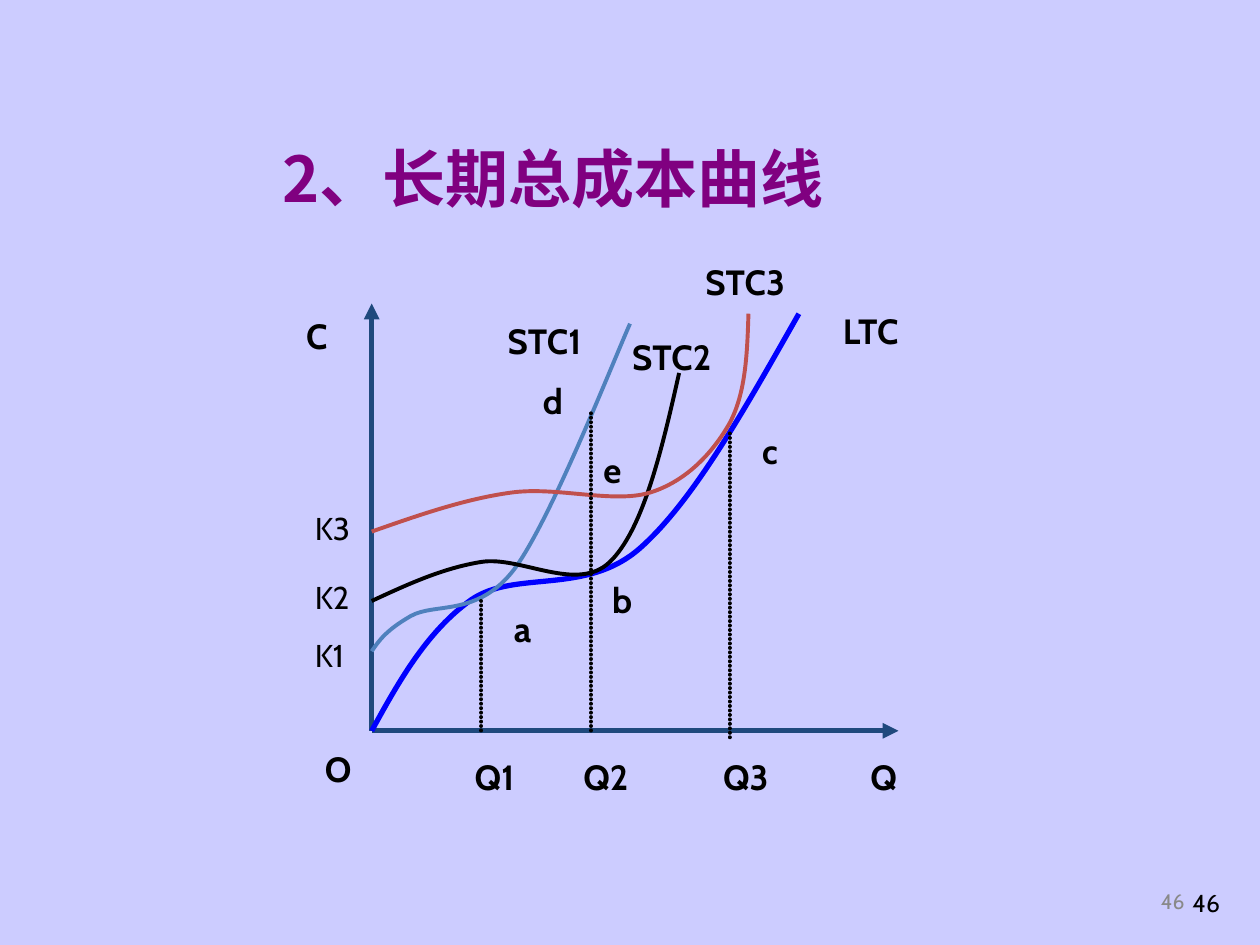
from lxml import etree
from pptx import Presentation
from pptx.dml.color import RGBColor
from pptx.enum import shapes, text
from pptx.oxml import ns
from pptx.util import Pt

BACKGROUND = RGBColor(0xCC, 0xCC, 0xFF)
PURPLE = RGBColor(0x80, 0x00, 0x80)
GREY = RGBColor(0x89, 0x89, 0x89)
BLACK = RGBColor(0x00, 0x00, 0x00)
NAVY = RGBColor(0x1F, 0x49, 0x7D)
BLUE = RGBColor(0x00, 0x00, 0xFF)
STEEL = RGBColor(0x4F, 0x81, 0xBD)
RED = RGBColor(0xC0, 0x50, 0x4D)
LATIN_FONT = "Cabin"
CHINESE_FONT = "Noto Sans CJK SC"
SCALE = 100

CURVES = [
    (BLUE, 3, [(0, 0), (15.8, 28.8), (31.7, 56.9), (56.9, 74.9),
               (82.1, 92.2), (122.4, 77), (153.4, 104.4),
               (184.3, 131.8), (213.8, 185), (244.1, 238.3)]),
    (STEEL, 2.25, [(0, 45.4), (4.3, 51.8), (8.6, 57.6), (22.3, 65.5),
                   (36, 73.4), (60.5, 64.8), (81.4, 92.2),
                   (102.2, 120.2), (136.8, 208.1), (147.6, 232.6)]),
    (BLACK, 2.25, [(0, 74.2), (20.2, 83.5), (40.3, 92.9), (62.6, 96.5),
                   (85, 100.1), (117.4, 78.5), (136.1, 96.5),
                   (154.8, 114.5), (165.6, 159.1), (175.7, 204.5)]),
    (RED, 2.25, [(0, 113.8), (26.6, 123.1), (53.3, 132.5), (79.9, 136.1),
                 (105.8, 139.7), (138.2, 129.6), (159.1, 136.1),
                 (180, 142.6), (195.1, 159.1), (204.5, 175.7),
                 (213.8, 193), (214.6, 216), (215.3, 238.3)]),
]
GUIDES = [(62.6, 74.2, 0), (125.3, 181.4, 0), (204.5, 169.9, -5.8)]
BOLD_LABELS = [
    ("C", -44.6, 241.2, 26.6), ("O", -33.8, -5.8, 30.2),
    ("Q", 277.9, -10.8, 30.2), ("STC1", 70.6, 238.3, 61.2),
    ("STC2", 141.8, 229.7, 67.7), ("STC3", 183.6, 272.2, 61.2),
    ("LTC", 262.1, 244.1, 49.7), ("d", 90.7, 204.5, 26.6),
    ("e", 125.3, 164.9, 26), ("a", 74.2, 74.2, 26.6),
    ("b", 130.3, 90.7, 26.6), ("c", 216, 175.7, 24.5),
    ("Q1", 51.8, -10.8, 41.8), ("Q2", 113.8, -10.8, 41.8),
    ("Q3", 193.7, -10.8, 41.8),
]
CAPITAL_LABELS = [("K1", 57.6), ("K2", 90.7), ("K3", 130.3)]


def add_text(parent, box, words, size, color, bold=False, font=LATIN_FONT,
             align=text.PP_ALIGN.LEFT, anchor=text.MSO_ANCHOR.TOP, wrap=True):
    shape = parent.shapes.add_textbox(*(Pt(length) for length in box))
    frame = shape.text_frame
    frame.word_wrap = wrap
    frame.vertical_anchor = anchor
    paragraph = frame.paragraphs[0]
    paragraph.alignment = align
    run = paragraph.add_run()
    run.text = words
    run.font.size = Pt(size)
    run.font.bold = bold
    run.font.color.rgb = color
    run.font.name = font
    east_asian = etree.SubElement(run.font._element, ns.qn("a:ea"))
    east_asian.set("typeface", font)
    return shape


def add_label(parent, box, words, size, bold=False):
    label = add_text(parent, box, words, size, BLACK, bold, wrap=False)
    label.text_frame.auto_size = text.MSO_AUTO_SIZE.SHAPE_TO_FIT_TEXT


def add_line(parent, start, end, color, width):
    line = parent.shapes.add_connector(
        shapes.MSO_CONNECTOR.STRAIGHT, *(Pt(value) for value in start + end))
    line.line.color.rgb = color
    line.line.width = Pt(width)
    etree.SubElement(line._element.spPr, ns.qn("a:effectLst"))
    return line


def add_axis(parent, start, end):
    axis = add_line(parent, start, end, NAVY, 3)
    arrowhead = etree.SubElement(axis.line._get_or_add_ln(), ns.qn("a:tailEnd"))
    arrowhead.set("type", "triangle")


def add_guide(parent, start, end):
    guide = add_line(parent, start, end, BLACK, 2.25)
    outline = guide.line._get_or_add_ln()
    outline.set("cap", "rnd")
    dashes = etree.SubElement(outline, ns.qn("a:custDash"))
    dot = etree.SubElement(dashes, ns.qn("a:ds"))
    dot.set("d", "100000")
    dot.set("sp", "14000")


def add_curve(parent, controls, color, width):
    points = [(round(x * SCALE), round(y * SCALE)) for x, y in controls]
    builder = parent.shapes.build_freeform(*points[0], scale=Pt(1) / SCALE)
    builder.add_line_segments(points[1:], close=False)
    curve = builder.convert_to_shape()
    segments = list(curve._element.iter(ns.qn("a:lnTo")))
    outline = segments[0].getparent()
    for first in range(0, len(segments), 3):
        bezier = etree.SubElement(outline, ns.qn("a:cubicBezTo"))
        for segment in segments[first:first + 3]:
            bezier.append(segment[0])
            outline.remove(segment)
    curve.shadow.inherit = False
    curve.fill.background()
    curve.line.color.rgb = color
    curve.line.width = Pt(width)


def add_title(slide, box):
    add_text(slide, box, "2、长期总成本曲线", 36, PURPLE, True, CHINESE_FONT,
             text.PP_ALIGN.CENTER, text.MSO_ANCHOR.MIDDLE)


def add_page_numbers(slide, box):
    left, top, width, height = box
    add_text(slide, (left, top + 8.6, 167.8, 28.8), "46", 12, GREY,
             align=text.PP_ALIGN.RIGHT, anchor=text.MSO_ANCHOR.MIDDLE)
    add_text(slide, (left + width - 149.8, top, 149.8, height), "46", 14, BLACK,
             align=text.PP_ALIGN.RIGHT, anchor=text.MSO_ANCHOR.BOTTOM)


def add_cost_diagram(slide, box):
    left, top, width, height = box
    diagram = slide.shapes.add_group_shape()

    def place(x, y):
        return left + x, top + height - y

    add_axis(diagram, place(0, 0), place(width, 0))
    add_axis(diagram, place(0, 0), place(0, height))
    for color, thickness, controls in CURVES:
        add_curve(diagram, [place(*point) for point in controls], color, thickness)
    for x, upper, lower in GUIDES:
        add_guide(diagram, place(x, upper), place(x, lower))
    for words, x, y, label_width in BOLD_LABELS:
        add_label(diagram, place(x, y) + (label_width, 31.7), words, 20, True)
    for words, y in CAPITAL_LABELS:
        add_label(diagram, place(-39.6, y) + (36, 28.8), words, 18)


def main():
    presentation = Presentation()
    presentation.slide_width = Pt(720)
    presentation.slide_height = Pt(540)
    slide = presentation.slides.add_slide(presentation.slide_layouts[6])
    slide.background.fill.solid()
    slide.background.fill.fore_color.rgb = BACKGROUND
    add_title(slide, (90.7, 71.3, 450.7, 60.5))
    add_page_numbers(slide, (516.2, 491.8, 188, 36))
    add_cost_diagram(slide, (212.4, 173.5, 301, 244.1))
    presentation.save("out.pptx")


if __name__ == "__main__":
    main()
